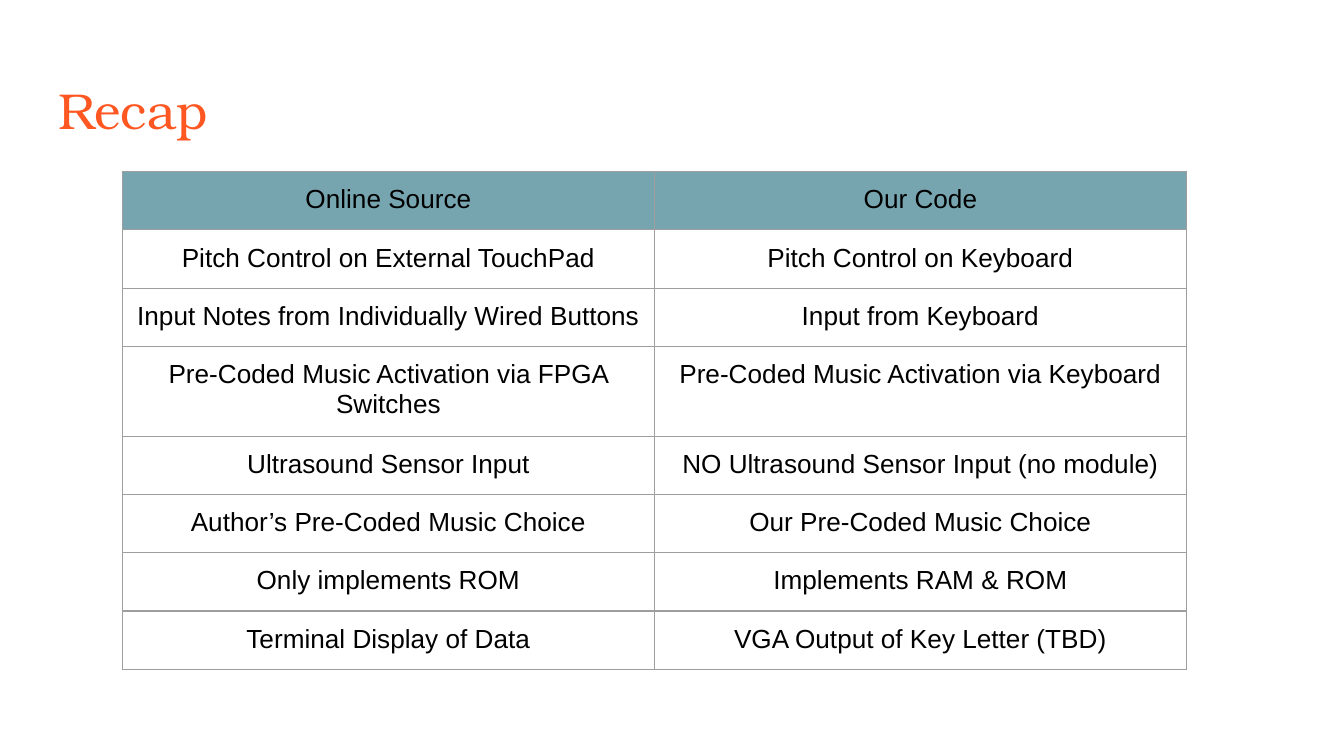
from lxml import etree
from pptx import Presentation
from pptx import util as u
from pptx.dml import color
from pptx.enum import text
from pptx.oxml import ns

Pt = u.Pt
HUES = {"title": "FF5722", "head": "76A5AF", "text": "000000", "line": "9E9E9E"}
PAD = {"margin_left": Pt(7.2), "margin_right": Pt(7.2),
       "margin_top": Pt(7.2), "margin_bottom": Pt(7.2)}
ROWS = [
    ("Online Source", "Our Code"),
    ("Pitch Control on External TouchPad", "Pitch Control on Keyboard"),
    ("Input Notes from Individually Wired Buttons", "Input from Keyboard"),
    ("Pre-Coded Music Activation via FPGA Switches",
     "Pre-Coded Music Activation via Keyboard"),
    ("Ultrasound Sensor Input", "NO Ultrasound Sensor Input (no module)"),
    ("Author’s Pre-Coded Music Choice", "Our Pre-Coded Music Choice"),
    ("Only implements ROM", "Implements RAM & ROM"),
    ("Terminal Display of Data", "VGA Output of Key Letter (TBD)"),
]
HIGH, TALL, WIDE = 30, 46, 285  # one-line row, two-line row, column


def write(frame, words, hue, **looks):
    para = frame.paragraphs[0]
    run = para.add_run()
    run.text = words
    for name, value in looks.items():
        setattr(run.font, name, value)
    run.font.color.rgb = color.RGBColor.from_string(HUES[hue])
    return para


def edge(cell):
    props = cell._tc.get_or_add_tcPr()
    for side in ("lnL", "lnR", "lnT", "lnB"):
        line = etree.SubElement(props, ns.qn("a:" + side), w=str(Pt(0.75)))
        fill = etree.SubElement(line, ns.qn("a:solidFill"))
        etree.SubElement(fill, ns.qn("a:srgbClr"), val=HUES["line"])


deck = Presentation()
deck.slide_width, deck.slide_height = Pt(720), Pt(405)
slide = deck.slides.add_slide(deck.slide_layouts[6])

# Title
frame = slide.shapes.add_textbox(Pt(24.5), Pt(35.3), Pt(671), Pt(45.4)).text_frame
for name, value in {**PAD, "word_wrap": True}.items():
    setattr(frame, name, value)
write(frame, "Recap", "title", name="TeX Gyre Bonum", size=Pt(27))

# Comparison table
highs = [TALL if "FPGA" in row[0] else HIGH for row in ROWS]
table = slide.shapes.add_table(len(ROWS), 2, Pt(65.6), Pt(91.9),
                               Pt(2 * WIDE), Pt(sum(highs))).table
table.first_row = table.horz_banding = False
for col in table.columns:
    col.width = Pt(WIDE)

for r, (row, high) in enumerate(zip(ROWS, highs)):
    table.rows[r].height = Pt(high)
    for c, words in enumerate(row):
        cell = table.cell(r, c)
        for name, value in PAD.items():
            setattr(cell, name, value)
        para = write(cell.text_frame, words, "text", name="Arial", size=Pt(14))
        para.alignment = text.PP_ALIGN.CENTER
        edge(cell)
        if r == 0:
            cell.fill.solid()
            cell.fill.fore_color.rgb = color.RGBColor.from_string(HUES["head"])
        else:
            cell.fill.background()

deck.save("out.pptx")
